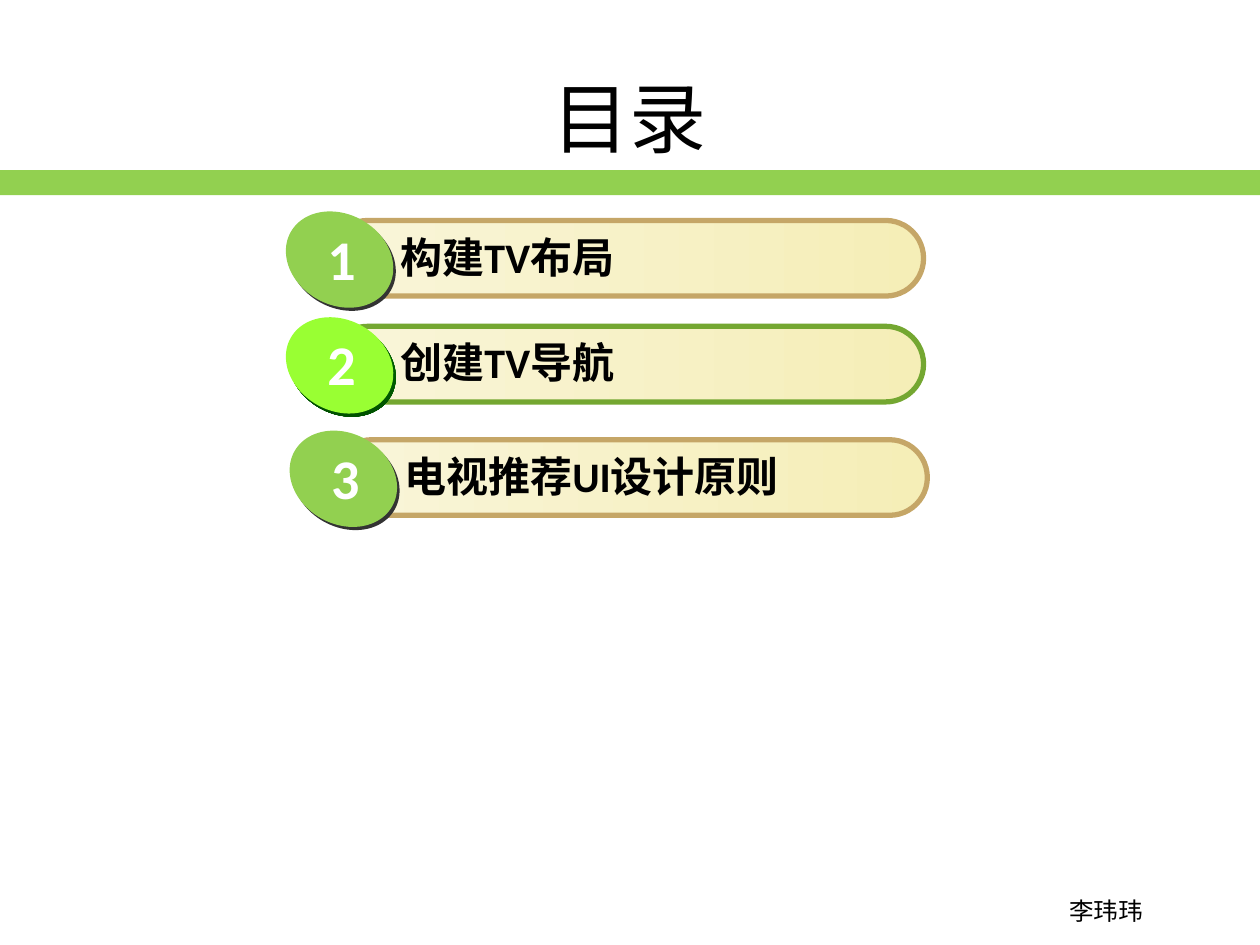
from lxml.etree import SubElement
from pptx import Presentation
from pptx.dml.color import RGBColor
from pptx.enum.shapes import MSO_SHAPE
from pptx.enum.text import MSO_ANCHOR, MSO_AUTO_SIZE, PP_ALIGN
from pptx.oxml.ns import qn
from pptx.util import Inches, Pt

WIDTH, HEIGHT = Inches(10), Inches(7.5)
COLS, ROWS = 100, 75
HAN = "Noto Sans CJK SC"
GREEN, TAN = "92D050", "C5A667"
CREAM = ("F9F5D9", "F5EEB7")
ITEMS = [
    (22.5, 17, ["构建", "TV", "布局"], TAN, GREEN, ("333333",)),
    (22.5, 25.4, ["创建", "TV", "导航"], "74A731", "99FF33", ("006600", "004900")),
    (22.8, 34.4, ["电视推荐", "UI", "设计原则"], TAN, GREEN, ("333333",)),
]


def color(code):
    """Turn a hex string into a colour."""
    return RGBColor.from_string(code)


def cells(x, y, wide, high):
    """Turn grid columns and rows into slide lengths."""
    col, row = WIDTH / COLS, HEIGHT / ROWS
    return [round(n) for n in (x * col, y * row, wide * col, high * row)]


def paint(shape, codes, angle=0):
    """Fill a shape with one colour or a blend of two."""
    if len(codes) == 1:
        shape.fill.solid()
        shape.fill.fore_color.rgb = color(codes[0])
        return
    shape.fill.gradient()
    shape.fill.gradient_angle = angle
    for stop, code, place in zip(shape.fill.gradient_stops, codes, (0, 1)):
        stop.color.rgb = color(code)
        stop.position = place


def draw(shapes, kind, box, codes, angle=0, edge=None):
    """Add a preset shape with a fill and an optional edge."""
    shape = shapes.add_shape(kind, *cells(*box))
    shape.shadow.inherit = False
    paint(shape, codes, angle)
    if edge:
        shape.line.color.rgb = color(edge)
        shape.line.width = Pt(3)
    else:
        shape.line.fill.background()
    return shape


def write(frame, parts, size, face, code="000000", bold=False, align=PP_ALIGN.LEFT):
    """Write the runs of one paragraph."""
    para = frame.paragraphs[0]
    para.alignment = align
    for part in parts:
        run = para.add_run()
        run.text = part
        font = run.font
        font.size, font.name, font.bold = Pt(size), face, bold
        font.color.rgb = color(code)
        SubElement(run._r.get_or_add_rPr(), qn("a:ea"), typeface=HAN)


def label(shapes, box, parts, size, face, wrap=True, **look):
    """Add a text box that grows with its text."""
    frame = shapes.add_textbox(*cells(*box)).text_frame
    frame.word_wrap = wrap
    frame.auto_size = MSO_AUTO_SIZE.SHAPE_TO_FIT_TEXT
    write(frame, parts, size, face, **look)


def disc(shapes, x, y, codes, angle=0):
    """Add a tilted oval."""
    oval = draw(shapes, MSO_SHAPE.OVAL, (x, y, 8.9, 7.2), codes, angle)
    oval.rotation = 29.3


def entry(slide, number, x, y, parts, edge, face, shade):
    """Add one grouped line of the contents list."""
    shapes = slide.shapes.add_group_shape().shapes
    pill = draw(shapes, MSO_SHAPE.ROUNDED_RECTANGLE,
                (x + 3.7, y + 0.5, 47.1, 6), CREAM, edge=edge)
    pill.adjustments[0] = 0.5
    label(shapes, (x + 8.3, y + 0.85, 37.5, 5.1), parts, 24, "Calibri", bold=True)
    disc(shapes, x + 0.2, y + 0.25, shade, 270)
    disc(shapes, x, y, (face,))
    label(shapes, (x + 2.5, y + 0.3, 4.5, 6.3), [str(number)], 32, "Calibri",
          wrap=False, code="FFFFFF", bold=True)


def head(slide, text):
    """Place and format the title."""
    title = slide.shapes.title
    title.left, title.top, title.width, title.height = cells(5, 3, 90, 12.5)
    title.text_frame.vertical_anchor = MSO_ANCHOR.MIDDLE
    write(title.text_frame, [text], 44, HAN, align=PP_ALIGN.CENTER)


def main():
    """Build the contents slide."""
    deck = Presentation()
    deck.slide_width, deck.slide_height = WIDTH, HEIGHT
    slide = deck.slides.add_slide(deck.slide_layouts[5])
    label(slide.shapes, (83.1, 70.6, 9.4, 3.4), ["李玮玮"], 14, HAN,
          align=PP_ALIGN.CENTER)
    draw(slide.shapes, MSO_SHAPE.RECTANGLE, (0, 13.5, COLS, 2), (GREEN,))
    head(slide, "目录")
    for number, item in enumerate(ITEMS, 1):
        entry(slide, number, *item)
    deck.save("out.pptx")


if __name__ == "__main__":
    main()
